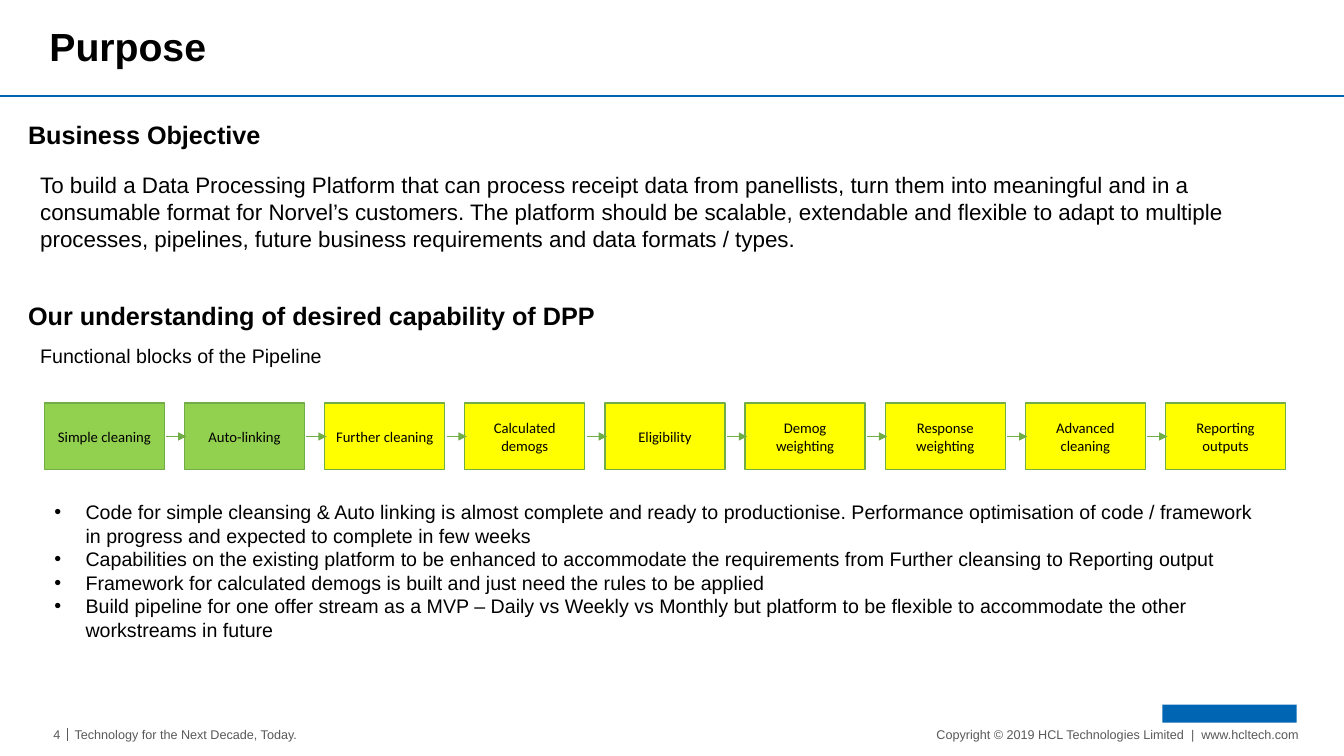
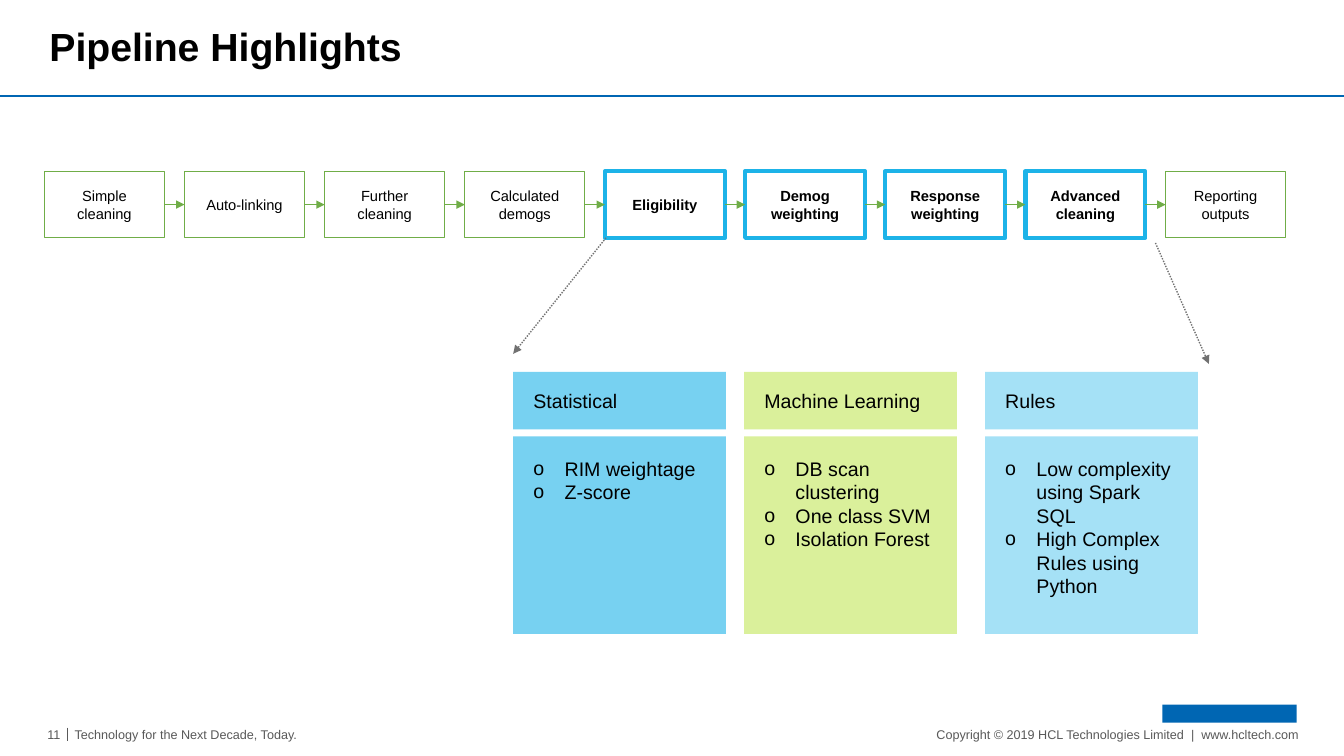
from dataclasses import dataclass

import lxml.etree
import pptx
import pptx.dml.color
import pptx.enum.dml
import pptx.enum.shapes
import pptx.enum.text
import pptx.oxml.ns
import pptx.util

WIDTH, HEIGHT = 13.33, 7.5
COLOURS = {
    "black": "000000", "white": "FFFFFF", "grey": "595959", "dark grey": "717171",
    "blue": "0066B3", "green": "70AD47", "done": "92D050", "pending": "FFFF00",
    "highlight": "1DB3E8", "sky": "77D1F1", "lime": "DAF09B", "pale sky": "A5E1F6",
}
ALIGN = pptx.enum.text.PP_ALIGN
ANCHOR = pptx.enum.text.MSO_ANCHOR

# Grid shared by both pipelines
MARGIN = 0.44
STAGE_PITCH, STAGE_WIDTH, STAGE_HEIGHT = 1.39, 1.19, 0.66
STAGES = ["Simple cleaning", "Auto-linking", "Further cleaning", "Calculated demogs",
          "Eligibility", "Demog weighting", "Response weighting", "Advanced cleaning",
          "Reporting outputs"]
BULLET_INDENT = 0.31
METHOD_LEFT, METHOD_WIDTH, METHOD_PADDING = 5.09, 2.11, 0.2


@dataclass(frozen=True)
class Box:
    left: float
    top: float
    width: float
    height: float

    def lengths(self) -> list[pptx.util.Length]:
        return [pptx.util.Inches(v) for v in (self.left, self.top, self.width, self.height)]


@dataclass(frozen=True)
class TextStyle:
    size: float
    bold: bool = False
    colour: str = "black"
    font: str = "Arial"
    align: ALIGN = ALIGN.LEFT
    anchor: ANCHOR = ANCHOR.TOP
    padding: tuple[float, float] = (0.1, 0.05)
    bullet: str = ""


@dataclass(frozen=True)
class StageStyle:
    fill: str
    font: str
    outline: str = "green"
    weight: float = 1
    bold: bool = False


@dataclass(frozen=True)
class Method:
    left: float
    name: str
    colour: str
    points: list[str]


TITLE = TextStyle(28, bold=True, anchor=ANCHOR.MIDDLE, padding=(0.05, 0.05))
HEADING = TextStyle(18, bold=True)
STATEMENT = TextStyle(16)
BODY = TextStyle(14)
POINTS = TextStyle(14, bullet="•")
FOOTER = TextStyle(9, colour="grey", anchor=ANCHOR.MIDDLE, padding=(0, 0))
FOOTER_RIGHT = TextStyle(9, colour="grey", align=ALIGN.RIGHT, anchor=ANCHOR.MIDDLE,
                         padding=(0, 0))
METHOD_NAME = TextStyle(14, anchor=ANCHOR.MIDDLE, padding=(METHOD_PADDING, METHOD_PADDING))
METHOD_POINTS = TextStyle(14, padding=(METHOD_PADDING, METHOD_PADDING), bullet="o")


def rgb(name: str) -> pptx.dml.color.RGBColor:
    return pptx.dml.color.RGBColor.from_string(COLOURS[name])


def add_element(parent, tag: str, **values: str):
    return lxml.etree.SubElement(parent, pptx.oxml.ns.qn(tag), values)


def set_all(target, values: dict) -> None:
    for name, value in values.items():
        setattr(target, name, value)


def write_text(shape, lines: list[str], style: TextStyle) -> None:
    frame = shape.text_frame
    across, down = (pptx.util.Inches(v) for v in style.padding)
    set_all(frame, {"word_wrap": True, "vertical_anchor": style.anchor,
                    "margin_left": across, "margin_right": across,
                    "margin_top": down, "margin_bottom": down})
    for number, line in enumerate(lines):
        para = frame.add_paragraph() if number else frame.paragraphs[0]
        para.alignment = style.align
        if style.bullet:
            properties = para._p.get_or_add_pPr()
            indent = pptx.util.Inches(BULLET_INDENT)
            properties.set("marL", str(indent))
            properties.set("indent", str(-indent))
            add_element(properties, "a:buFont", typeface="Arial")
            add_element(properties, "a:buChar", char=style.bullet)
        span = para.add_run()
        span.text = line
        set_all(span.font, {"name": style.font, "size": pptx.util.Pt(style.size),
                            "bold": style.bold})
        span.font.color.rgb = rgb(style.colour)


def add_text(page, box: Box, lines: list[str], style: TextStyle) -> None:
    write_text(page.shapes.add_textbox(*box.lengths()), lines, style)


def add_rectangle(page, box: Box, fill: str, outline: str = "", weight: float = 1):
    shape = page.shapes.add_shape(pptx.enum.shapes.MSO_SHAPE.RECTANGLE, *box.lengths())
    shape.shadow.inherit = False
    shape.fill.solid()
    shape.fill.fore_color.rgb = rgb(fill)
    if outline:
        shape.line.color.rgb = rgb(outline)
        shape.line.width = pptx.util.Pt(weight)
    else:
        shape.line.fill.background()
    return shape


def add_line(page, start: tuple[float, float], end: tuple[float, float], colour: str,
             weight: float, arrow: bool = False, dotted: bool = False) -> None:
    ends = [pptx.util.Inches(v) for v in (*start, *end)]
    line = page.shapes.add_connector(pptx.enum.shapes.MSO_CONNECTOR.STRAIGHT, *ends)
    line.line.color.rgb = rgb(colour)
    line.line.width = pptx.util.Pt(weight)
    if dotted:
        line.line.dash_style = pptx.enum.dml.MSO_LINE.ROUND_DOT
    properties = line._element.spPr
    if arrow:
        add_element(properties.find(pptx.oxml.ns.qn("a:ln")), "a:tailEnd", type="triangle")
    add_element(properties, "a:effectLst")


def add_page(deck, title: str, number: int):
    """Add a page with its title, rule and footer."""
    page = deck.slides.add_slide(deck.slide_layouts[6])
    add_line(page, (0, 0.95), (WIDTH, 0.95), "blue", 1.5)
    add_text(page, Box(MARGIN, 0.06, WIDTH - 2 * MARGIN, 0.79), [title], TITLE)
    # Footer
    top, height = 7.21, 0.15
    add_text(page, Box(0.2, top, 0.4, height), [str(number)], FOOTER_RIGHT)
    add_line(page, (0.67, 7.22), (0.67, 7.35), "grey", 0.75)
    add_text(page, Box(0.74, top, 3, height),
             ["Technology for the Next Decade, Today."], FOOTER)
    add_text(page, Box(8.38, top, 4.5, height),
             ["Copyright © 2019 HCL Technologies Limited  |  www.hcltech.com"], FOOTER_RIGHT)
    add_rectangle(page, Box(11.53, 6.99, 1.33, 0.18), "blue")
    return page


def add_pipeline(page, top: float, styles: list[StageStyle], arrow_shift: float = 0) -> None:
    """Draw the stages in one row, with an arrow in each gap."""
    middle = top + STAGE_HEIGHT / 2
    for column, (name, style) in enumerate(zip(STAGES, styles)):
        left = MARGIN + column * STAGE_PITCH
        stage = add_rectangle(page, Box(left, top, STAGE_WIDTH, STAGE_HEIGHT),
                              style.fill, style.outline, style.weight)
        write_text(stage, [name], TextStyle(10.5, style.bold, font=style.font,
                                            align=ALIGN.CENTER, anchor=ANCHOR.MIDDLE))
    for column in range(1, len(STAGES)):
        end = MARGIN + column * STAGE_PITCH + arrow_shift
        start = end - (STAGE_PITCH - STAGE_WIDTH)
        add_line(page, (start, middle), (end, middle), "green", 0.5, arrow=True)


def add_method(page, method: Method) -> None:
    name = add_rectangle(page, Box(method.left, 3.69, METHOD_WIDTH, 0.57), method.colour)
    write_text(name, [method.name], METHOD_NAME)
    panel = add_rectangle(page, Box(method.left, 4.33, METHOD_WIDTH, 1.96), method.colour)
    write_text(panel, method.points, METHOD_POINTS)


def build_purpose(deck) -> None:
    page = add_page(deck, "Purpose", 4)
    text_width = 12.22
    add_text(page, Box(0.18, 1.13, 3.19, 0.4), ["Business Objective"], HEADING)
    add_text(page, Box(0.3, 1.65, text_width, 0.91), [
        "To build a Data Processing Platform that can process receipt data from panellists, "
        "turn them into meaningful and in a consumable format for Norvel’s customers. The "
        "platform should be scalable, extendable and flexible to adapt to multiple processes, "
        "pipelines, future business requirements and data formats / types."], STATEMENT)
    add_text(page, Box(0.18, 2.93, 7.21, 0.4),
             ["Our understanding of desired capability of DPP"], HEADING)
    add_text(page, Box(0.3, 3.36, text_width, 0.34),
             ["Functional blocks of the Pipeline"], BODY)
    # First two stages are done
    done, pending = StageStyle("done", "Calibri"), StageStyle("pending", "Calibri")
    add_pipeline(page, 4, [done] * 2 + [pending] * 7, arrow_shift=0.02)
    add_text(page, Box(MARGIN, 4.91, text_width, 1.75), [
        "Code for simple cleansing & Auto linking is almost complete and ready to productionise. "
        "Performance optimisation of code / framework in progress and expected to complete in "
        "few weeks",
        "Capabilities on the existing platform to be enhanced to accommodate the requirements "
        "from Further cleansing to Reporting output",
        "Framework for calculated demogs is built and just need the rules to be applied",
        "Build pipeline for one offer stream as a MVP – Daily vs Weekly vs Monthly but platform "
        "to be flexible to accommodate the other workstreams in future"], POINTS)


def build_highlights(deck) -> None:
    page = add_page(deck, "Pipeline Highlights", 11)
    plain = StageStyle("white", "Arial")
    highlighted = StageStyle("white", "Arial", "highlight", 3, True)
    add_pipeline(page, 1.7, [plain] * 4 + [highlighted] * 4 + [plain])
    # Callout from the highlighted stages to their methods
    for start, end in (((6.01, 2.36), (METHOD_LEFT, 3.51)), ((11.46, 2.41), (11.99, 3.61))):
        add_line(page, start, end, "dark grey", 1, arrow=True, dotted=True)
    for method in (
        Method(METHOD_LEFT, "Statistical", "sky", ["RIM weightage", "Z-score"]),
        Method(7.38, "Machine Learning", "lime",
               ["DB scan clustering", "One class SVM", "Isolation Forest"]),
        Method(9.77, "Rules", "pale sky",
               ["Low complexity using Spark SQL", "High Complex Rules using Python"]),
    ):
        add_method(page, method)


def main() -> None:
    deck = pptx.Presentation()
    deck.slide_width = pptx.util.Inches(WIDTH)
    deck.slide_height = pptx.util.Inches(HEIGHT)
    build_purpose(deck)
    build_highlights(deck)
    deck.save("out.pptx")


if __name__ == "__main__":
    main()
